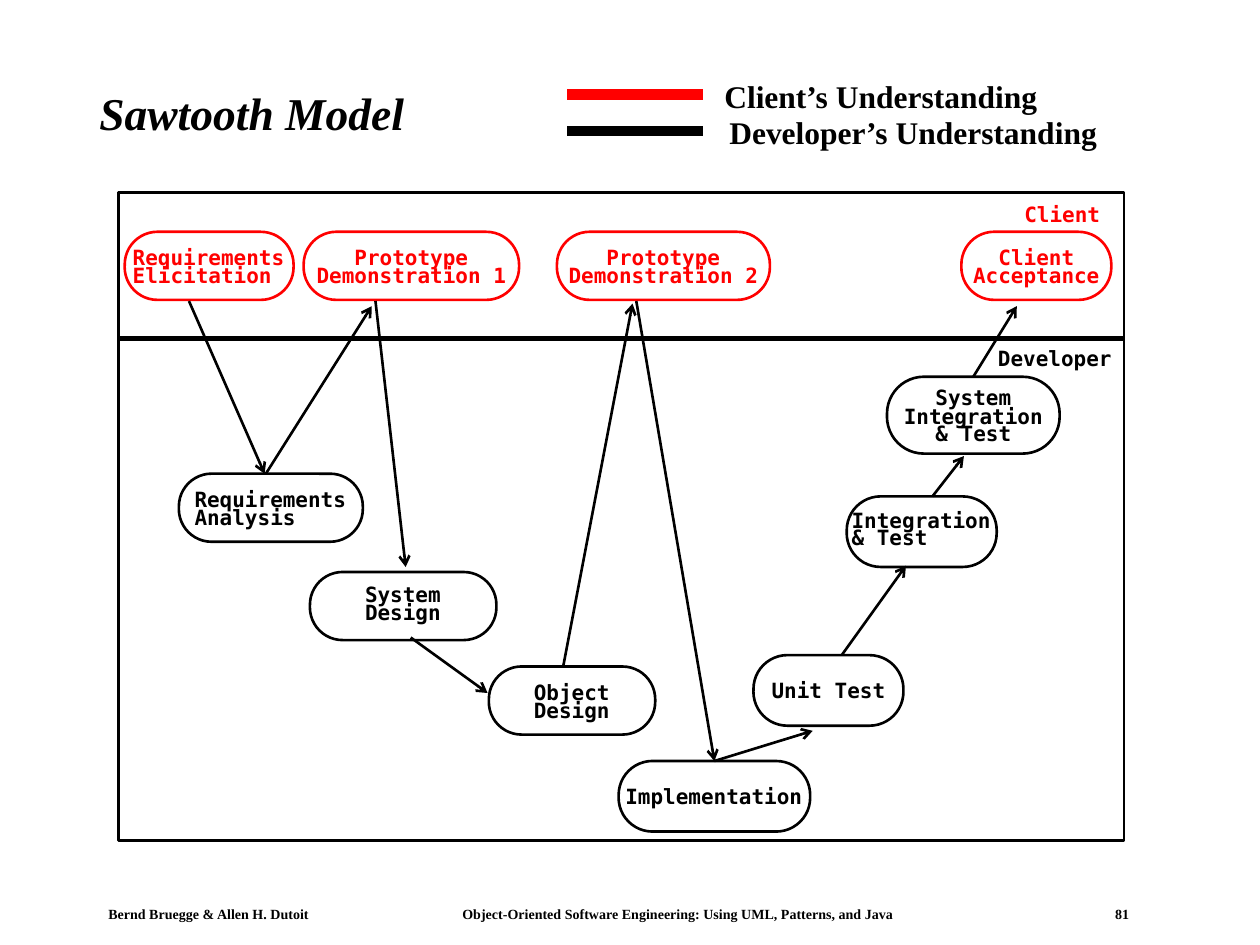
from dataclasses import dataclass

from lxml.etree import SubElement
from pptx import Presentation
from pptx.dml.color import RGBColor
from pptx.enum.shapes import MSO_CONNECTOR, MSO_SHAPE
from pptx.enum.text import MSO_ANCHOR, MSO_AUTO_SIZE, PP_ALIGN
from pptx.oxml.ns import qn
from pptx.util import Inches, Pt

COLOURS = {"client": "FF0000", "developer": "000000"}
SERIF, MONO = "Times New Roman", "DejaVu Sans Mono"
CHARACTER_WIDTH, FIRST_LINE, TIGHT_LINE = 0.101, 0.2, 0.14
TIGHT_SPACING = 0.7


@dataclass
class Activity:
    lines: list[str]
    left: float
    top: float
    width: float
    height: float = 0.54
    role: str = "developer"
    centred: bool = False
    tight_start: bool = False


@dataclass
class Arrow:
    start: tuple[float, float]
    end: tuple[float, float]
    start_top: str = ""  # activity whose top middle the arrow leaves
    end_top: str = ""  # activity whose top middle the arrow reaches


ACTIVITIES = {
    "elicitation": Activity(["Requirements", "Elicitation"], 0.99, 1.84, 1.34, role="client"),
    "prototype 1": Activity(["Prototype", "Demonstration 1"], 2.41, 1.84, 1.71,
                            role="client", centred=True),
    "prototype 2": Activity(["Prototype", "Demonstration 2"], 4.42, 1.84, 1.69,
                            role="client", centred=True),
    "acceptance": Activity(["Client", "Acceptance"], 7.63, 1.84, 1.19,
                           role="client", centred=True),
    "analysis": Activity(["Requirements", "Analysis"], 1.42, 3.76, 1.46),
    "system design": Activity(["System", "Design"], 2.46, 4.54, 1.48, tight_start=True),
    "object design": Activity(["Object", "Design"], 3.88, 5.29, 1.32),
    "implementation": Activity(["Implementation"], 4.91, 6.04, 1.52, 0.56),
    "unit test": Activity(["Unit Test"], 5.98, 5.2, 1.19, 0.56, centred=True),
    "integration": Activity(["Integration", "& Test"], 6.72, 3.94, 1.19, 0.56,
                            tight_start=True),
    "system test": Activity(["System", "Integration", "& Test"], 7.04, 2.99, 1.37, 0.61,
                            centred=True),
}

ARROWS = [
    Arrow((1.5, 2.39), (2.1, 3.76)),
    Arrow((2.11, 3.76), (2.95, 2.43)),
    Arrow((2.98, 2.39), (3.22, 4.5)),
    Arrow((3.26, 5.06), (3.87, 5.5)),
    Arrow((4.47, 5.29), (5.02, 2.41)),
    Arrow((5.05, 2.39), (5.69, 6.04), end_top="implementation"),
    Arrow((5.7, 6.04), (6.45, 5.8), start_top="implementation"),
    Arrow((6.68, 5.2), (7.19, 4.49)),
    Arrow((7.4, 3.94), (7.65, 3.62)),
    Arrow((7.76, 2.98), (8.07, 2.43), start_top="system test"),
]


def colour(role: str) -> RGBColor:
    return RGBColor.from_string(COLOURS[role])


def add_text(page, lines: list[str], left: float, top: float, width: float, height: float,
             size: float, font: str = SERIF, role: str = "developer",
             insets: tuple[float, float] = (0, 0), centred: bool = False,
             italic: bool = False, wrap: bool = False):
    box = page.shapes.add_textbox(Inches(left), Inches(top), Inches(width), Inches(height))
    frame = box.text_frame
    frame.word_wrap = wrap
    frame.auto_size = MSO_AUTO_SIZE.NONE if wrap else MSO_AUTO_SIZE.SHAPE_TO_FIT_TEXT
    frame.margin_left = frame.margin_right = Inches(insets[0])
    frame.margin_top = frame.margin_bottom = Inches(insets[1])
    frame.text = "\n".join(lines)
    for paragraph in frame.paragraphs:
        paragraph.alignment = PP_ALIGN.CENTER if centred else PP_ALIGN.LEFT
        for span in paragraph.runs:
            span.font.name, span.font.size = font, Pt(size)
            span.font.bold, span.font.italic = True, italic
            span.font.color.rgb = colour(role)
    return frame


def add_outline(page, kind, left: float, top: float, width: float, height: float, role: str):
    shape = page.shapes.add_shape(kind, Inches(left), Inches(top), Inches(width), Inches(height))
    shape.shadow.inherit = False
    shape.fill.background()
    shape.line.color.rgb = colour(role)
    shape.line.width = Pt(1.5)
    return shape


def add_activity(page, activity: Activity):
    shape = add_outline(page, MSO_SHAPE.ROUNDED_RECTANGLE, activity.left, activity.top,
                        activity.width, activity.height, activity.role)
    shape.adjustments[0] = 0.48
    # The label block is centred on the outline
    width = CHARACTER_WIDTH * max(len(line) for line in activity.lines)
    first = TIGHT_LINE if activity.tight_start else FIRST_LINE
    height = first + TIGHT_LINE * (len(activity.lines) - 1)
    frame = add_text(page, activity.lines, activity.left + (activity.width - width) / 2,
                     activity.top + (activity.height - height) / 2, width, height,
                     12, MONO, activity.role, centred=activity.centred)
    for paragraph in frame.paragraphs[0 if activity.tight_start else 1:]:
        paragraph.line_spacing = TIGHT_SPACING
    return shape


def add_line(page, start: tuple[float, float], end: tuple[float, float],
             role: str = "developer", weight: float = 1.5):
    line = page.shapes.add_connector(MSO_CONNECTOR.STRAIGHT, *map(Inches, start + end))
    line.line.color.rgb = colour(role)
    line.line.width = Pt(weight)
    SubElement(line._element.spPr, qn("a:effectLst"))
    return line


def add_arrow(page, arrow: Arrow, outlines: dict) -> None:
    line = add_line(page, arrow.start, arrow.end)
    SubElement(line.line._get_or_add_ln(), qn("a:tailEnd"), type="arrow")
    if arrow.start_top:
        line.begin_connect(outlines[arrow.start_top], 0)
    if arrow.end_top:
        line.end_connect(outlines[arrow.end_top], 0)


def add_footer(page) -> None:
    frame = add_text(page, ["Bernd Bruegge & Allen H. Dutoit\tObject-Oriented Software "
                            "Engineering: Using UML, Patterns, and Java\t81"],
                     0.78, 7.15, 8.27, 0.21, 8, insets=(0.08, 0.04), wrap=True)
    tabs = SubElement(frame.paragraphs[0]._p.get_or_add_pPr(), qn("a:tabLst"))
    for position in (2.81, 7.99):
        SubElement(tabs, qn("a:tab"), pos=str(Inches(position)), algn="l")


def main() -> None:
    deck = Presentation()
    deck.slide_width, deck.slide_height = Inches(10), Inches(7.5)
    page = deck.slides.add_slide(deck.slide_layouts[6])

    # Title and footer
    title = add_text(page, ["Sawtooth Model"], 0.69, 0.45, 8.92, 0.94, 26,
                     insets=(0.1, 0.05), italic=True, wrap=True)
    title.vertical_anchor = MSO_ANCHOR.MIDDLE
    title.paragraphs[0].line_spacing = 0.9
    add_footer(page)

    # Legend
    for name, role, y, left, width in (("Client", "client", 0.75, 5.65, 2.69),
                                       ("Developer", "developer", 1.04, 5.69, 3.12)):
        add_line(page, (4.5, y), (5.58, y), role, 6)
        add_text(page, [f"{name}’s Understanding"], left, y - 0.19, width, 0.4, 18,
                 insets=(0.1, 0.05))

    # Client and developer areas
    for name, role, top, height, left, label_top in (
            ("Client", "client", 1.53, 1.17, 8.13, 1.6),
            ("Developer", "developer", 2.68, 3.99, 7.92, 2.74)):
        add_outline(page, MSO_SHAPE.RECTANGLE, 0.94, top, 7.98, height, "developer")
        add_text(page, [name], left, label_top, CHARACTER_WIDTH * len(name), FIRST_LINE,
                 12, MONO, role)

    # Activities and the path between them
    outlines = {name: add_activity(page, activity) for name, activity in ACTIVITIES.items()}
    for arrow in ARROWS:
        add_arrow(page, arrow, outlines)

    deck.save("out.pptx")


if __name__ == "__main__":
    main()
